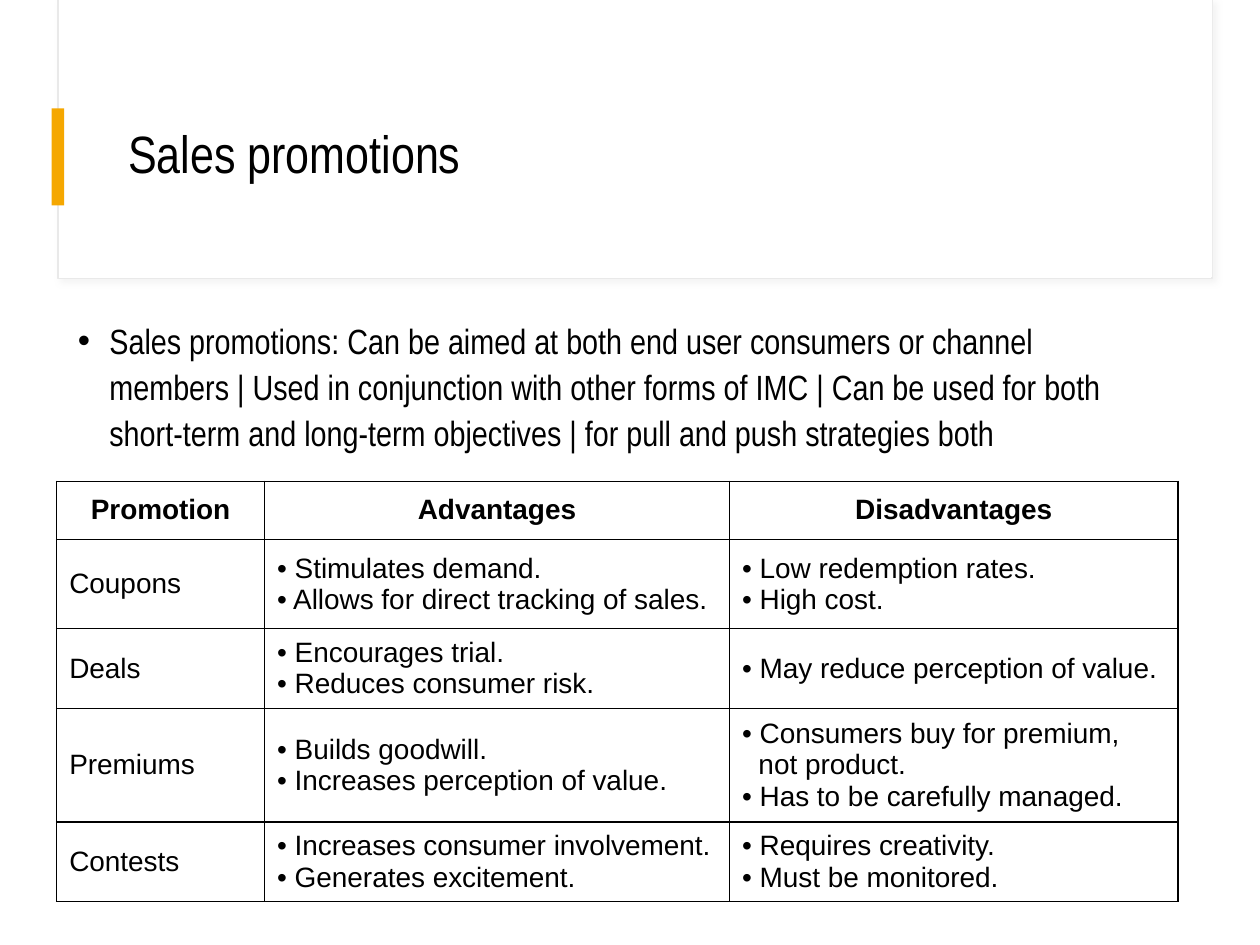
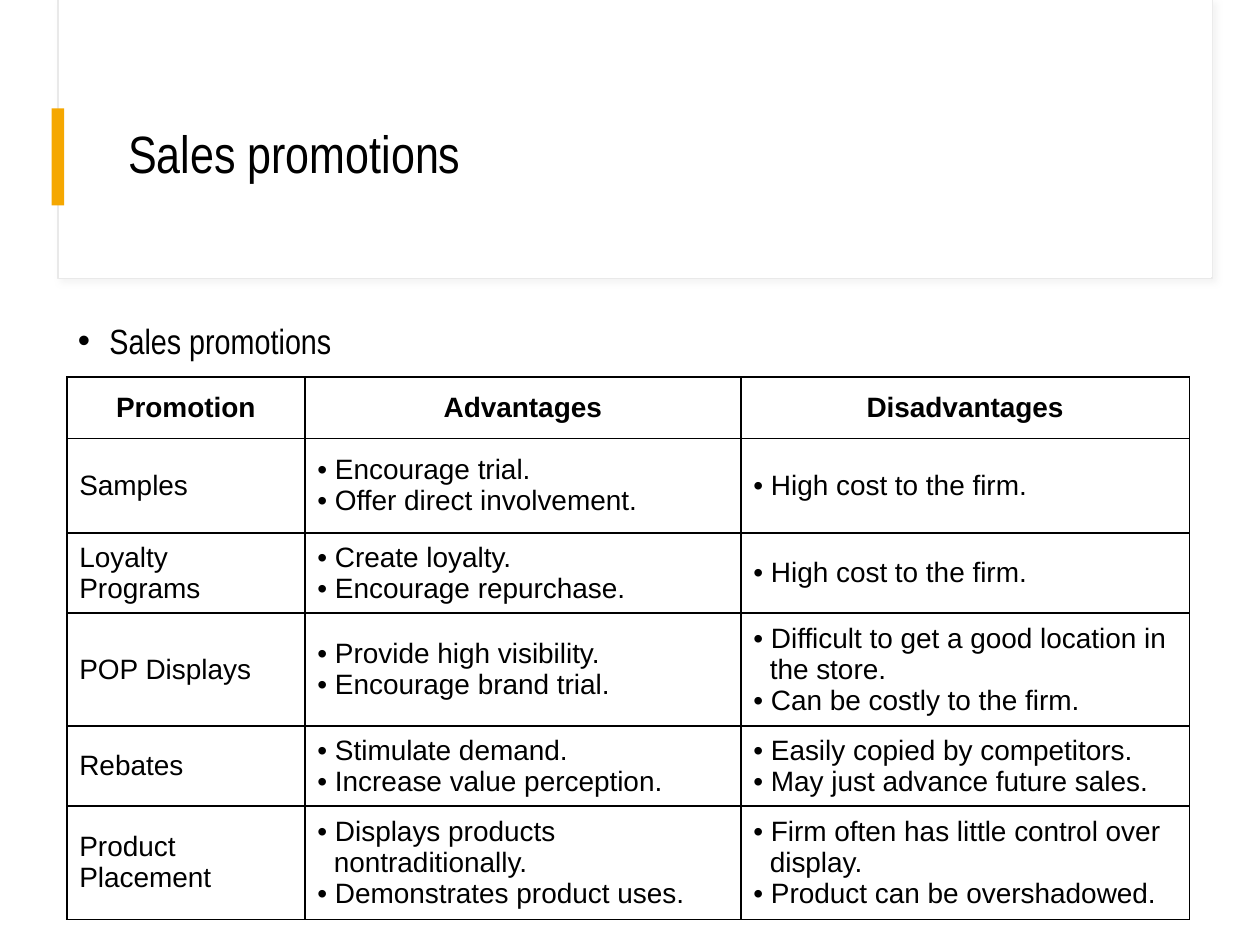
from dataclasses import dataclass

from lxml import etree
from pptx import Presentation
from pptx.dml.color import RGBColor
from pptx.enum.shapes import MSO_SHAPE
from pptx.enum.text import MSO_ANCHOR, PP_ALIGN
from pptx.oxml.ns import qn
from pptx.util import Inches, Pt

RECT = MSO_SHAPE.RECTANGLE
MIDDLE = MSO_ANCHOR.MIDDLE
CENTER = PP_ALIGN.CENTER
LEFT = PP_ALIGN.LEFT

BLACK = "000000"
WHITE = "FFFFFF"
GOLD = "F5A700"
EDGE = "E9E9E9"
SHADE = "D9D9D9"
NARROW = "Arial Narrow"
PLAIN = "Arial"
TITLE = "Sales promotions"
HEADS = ("Promotion", "Advantages", "Disadvantages")


@dataclass(frozen=True)
class Box:
    left: float
    top: float
    width: float
    height: float

    def spans(self) -> list:
        return [Inches(n) for n in (self.left, self.top, self.width, self.height)]


@dataclass(frozen=True)
class Panel:
    box: Box
    fill: str
    line: str = ""
    shadow: bool = False


@dataclass(frozen=True)
class Promo:
    name: str
    pros: tuple[str, ...]
    cons: tuple[str, ...]


@dataclass(frozen=True)
class Page:
    point: str
    left: float
    top: float
    cols: tuple[float, ...]
    rows: tuple[float, ...]
    promos: tuple[Promo, ...]


PANELS = (
    Panel(Box(0.46, 0, 9.16, 2.21), WHITE, EDGE, True),
    Panel(Box(0.47, 0, 9.15, 2.2), WHITE),
    Panel(Box(0.41, 0.86, 0.1, 0.77), GOLD),
)
TITLE_BOX = Box(0.92, 0.6, 8.34, 1.29)
POINT_BOX = Box(0.52, 2.45, 8.76, 4.71)

PAGES = (
    Page(
        "Sales promotions: Can be aimed at both end user consumers or channel "
        "members | Used in conjunction with other forms of IMC | Can be used for "
        "both short-term and long-term objectives | for pull and push strategies both",
        0.45, 3.82, (1.65, 3.69, 3.56), (0.46, 0.71, 0.6, 0.85, 0.6),
        (
            Promo("Coupons",
                  ("Stimulates demand.", "Allows for direct tracking of sales."),
                  ("Low redemption rates.", "High cost.")),
            Promo("Deals",
                  ("Encourages trial.", "Reduces consumer risk."),
                  ("May reduce perception of value.",)),
            Promo("Premiums",
                  ("Builds goodwill.", "Increases perception of value."),
                  ("Consumers buy for premium, not product.",
                   "Has to be carefully managed.")),
            Promo("Contests",
                  ("Increases consumer involvement.", "Generates excitement."),
                  ("Requires creativity.", "Must be monitored.")),
        ),
    ),
    Page(
        "Sales promotions",
        0.53, 2.99, (1.89, 3.46, 3.56), (0.49, 0.75, 0.6, 0.84, 0.6, 0.84),
        (
            Promo("Samples",
                  ("Encourage trial.", "Offer direct involvement."),
                  ("High cost to the firm.",)),
            Promo("Loyalty Programs",
                  ("Create loyalty.", "Encourage repurchase."),
                  ("High cost to the firm.",)),
            Promo("POP Displays",
                  ("Provide high visibility.", "Encourage brand trial."),
                  ("Difficult to get a good location in the store.",
                   "Can be costly to the firm.")),
            Promo("Rebates",
                  ("Stimulate demand.", "Increase value perception."),
                  ("Easily copied by competitors.",
                   "May just advance future sales.")),
            Promo("Product Placement",
                  ("Displays products nontraditionally.",
                   "Demonstrates product uses."),
                  ("Firm often has little control over display.",
                   "Product can be overshadowed.")),
        ),
    ),
)


def tint(code: str) -> RGBColor:
    return RGBColor.from_string(code)


def add_node(base, tag: str, **attrs):
    return etree.SubElement(base, qn(tag), {k: str(v) for k, v in attrs.items()})


def set_font(para, name: str, size: float, bold: bool = False) -> None:
    font = para.font
    font.name, font.size, font.bold = name, Pt(size), bold
    font.color.rgb = tint(BLACK)


def hang(para, depth: float) -> None:
    props = para._p.get_or_add_pPr()
    props.set("marL", str(Inches(depth)))
    props.set("indent", str(-Inches(depth)))


def cast_shadow(shape) -> None:
    effects = shape._element.spPr.find(qn("a:effectLst"))
    outer = add_node(effects, "a:outerShdw", blurRad=Pt(4), dist=Pt(3),
                     dir=45 * 60000, algn="tl", rotWithShape=0)
    shade = add_node(outer, "a:srgbClr", val=SHADE)
    add_node(shade, "a:alpha", val=30000)


def draw_panel(slide, panel: Panel) -> None:
    shape = slide.shapes.add_shape(RECT, *panel.box.spans())
    shape.shadow.inherit = False
    shape.fill.solid()
    shape.fill.fore_color.rgb = tint(panel.fill)
    if panel.line:
        shape.line.color.rgb = tint(panel.line)
        shape.line.width = Pt(0.75)
    else:
        shape.line.fill.background()
    if panel.shadow:
        cast_shadow(shape)


def draw_text(slide, box: Box, text: str, size: float, lead: float):
    frame = slide.shapes.add_textbox(*box.spans()).text_frame
    frame.word_wrap = True
    para = frame.paragraphs[0]
    para.text = text
    para.line_spacing = lead
    set_font(para, NARROW, size)
    return frame


def draw_title(slide) -> None:
    frame = draw_text(slide, TITLE_BOX, TITLE, 30, 0.9)
    frame.vertical_anchor = MIDDLE


def draw_point(slide, text: str) -> None:
    para = draw_text(slide, POINT_BOX, text, 20, 1.1).paragraphs[0]
    para.space_before = Pt(10)
    hang(para, 0.25)
    props = para._p.get_or_add_pPr()
    bullet = etree.Element(qn("a:buChar"), {"char": "•"})
    font = etree.Element(qn("a:buFont"), {"typeface": PLAIN})
    props.find(qn("a:defRPr")).addprevious(font)
    font.addnext(bullet)


def set_edges(cell) -> None:
    props = cell._tc.get_or_add_tcPr()
    for spot, side in enumerate(("lnL", "lnR", "lnT", "lnB")):
        line = etree.Element(qn(f"a:{side}"), {"w": str(Pt(1))})
        add_node(add_node(line, "a:solidFill"), "a:srgbClr", val=BLACK)
        props.insert(spot, line)


def fill_cell(cell, lines: tuple[str, ...], head: bool, marked: bool) -> None:
    cell.fill.background()
    cell.vertical_anchor = MIDDLE
    set_edges(cell)
    frame = cell.text_frame
    for num, line in enumerate(lines):
        para = frame.add_paragraph() if num else frame.paragraphs[0]
        para.text = f"• {line}" if marked else line
        para.alignment = CENTER if head else LEFT
        set_font(para, PLAIN, 16, head)
        if marked:
            hang(para, 0.13)


def draw_table(slide, page: Page) -> None:
    box = Box(page.left, page.top, sum(page.cols), sum(page.rows))
    table = slide.shapes.add_table(len(page.rows), len(page.cols), *box.spans()).table
    table.first_row = table.horz_banding = False
    for col, width in zip(table.columns, page.cols):
        col.width = Inches(width)
    for row, height in zip(table.rows, page.rows):
        row.height = Inches(height)
    grid = [[(head,) for head in HEADS]]
    grid += [[(promo.name,), promo.pros, promo.cons] for promo in page.promos]
    for r, row in enumerate(grid):
        for c, lines in enumerate(row):
            fill_cell(table.cell(r, c), lines, r == 0, r > 0 and c > 0)


def main() -> None:
    deck = Presentation()
    deck.slide_width, deck.slide_height = Inches(10), Inches(7.5)
    for page in PAGES:
        slide = deck.slides.add_slide(deck.slide_layouts[6])
        for panel in PANELS:
            draw_panel(slide, panel)
        draw_title(slide)
        draw_point(slide, page.point)
        draw_table(slide, page)
    deck.save("out.pptx")


if __name__ == "__main__":
    main()
